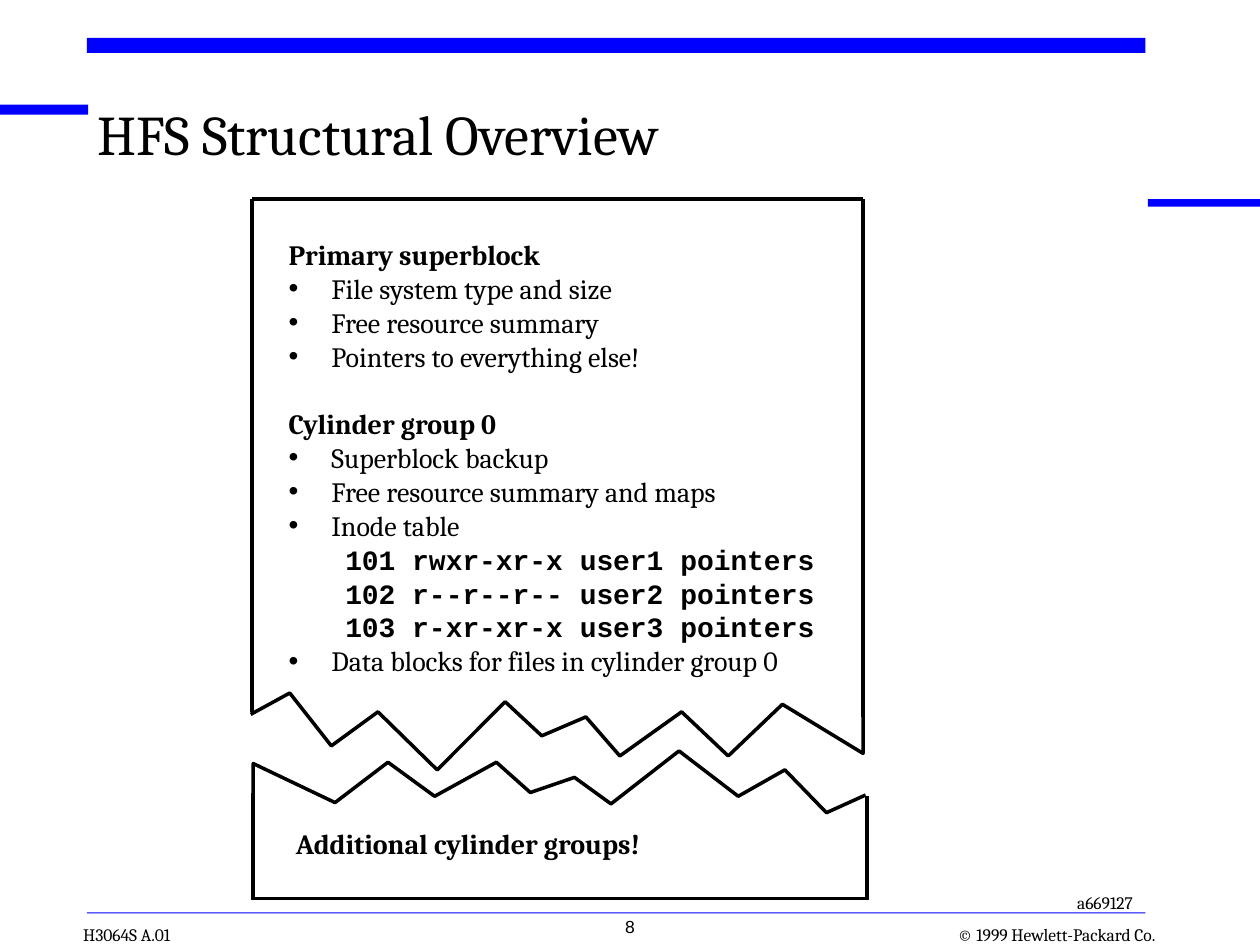
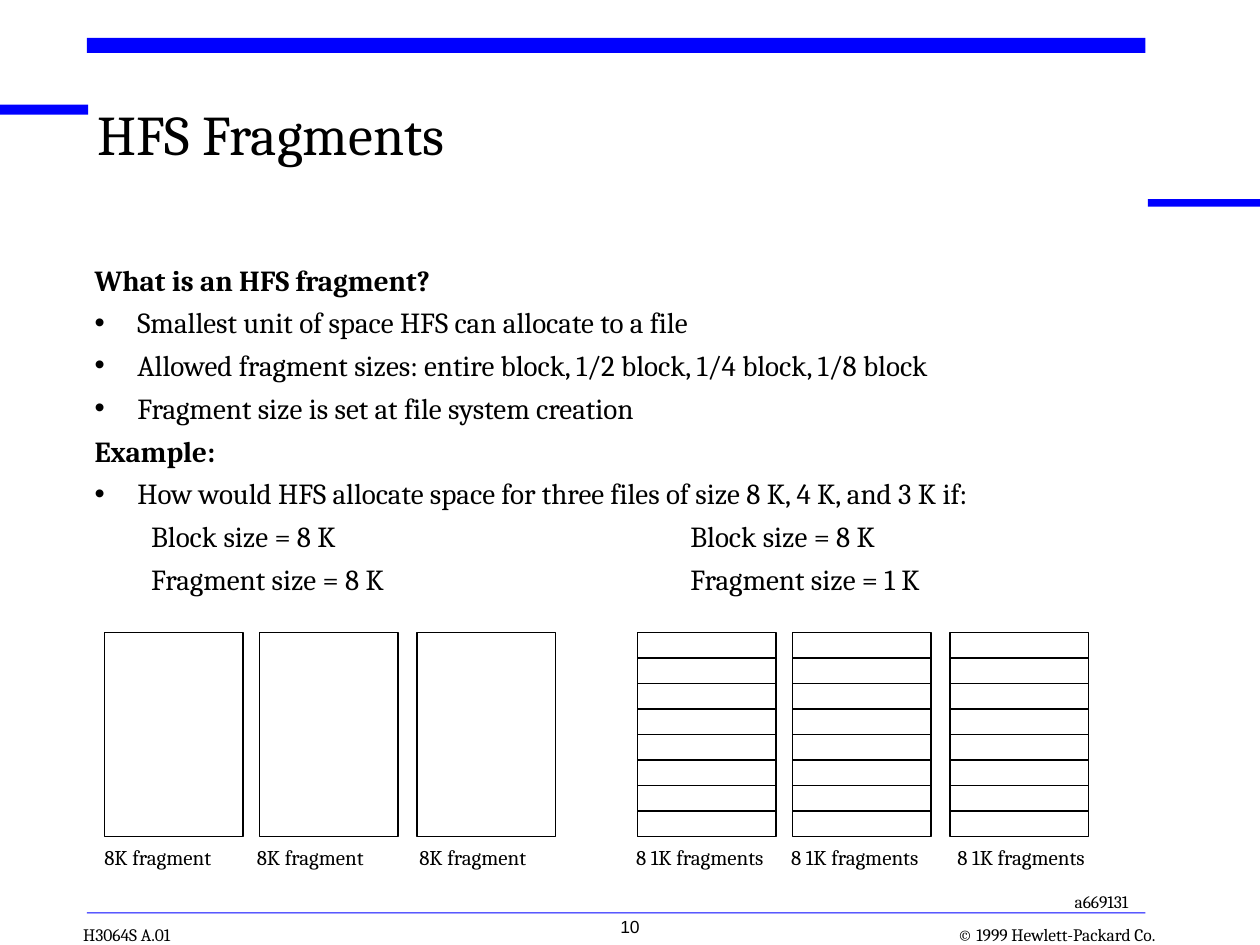
from dataclasses import dataclass
from typing import NamedTuple

from lxml import etree
from pptx import Presentation
from pptx import util as u
from pptx.dml.color import RGBColor
from pptx.enum import shapes, text
from pptx.oxml.ns import qn

BLACK, WHITE, BLUE = "000000", "FFFFFF", "0000FF"
SERIF, SANS, MONO = "Cambria", "Arial", "Courier New"
LEFT, CENTER, RIGHT = text.PP_ALIGN.LEFT, text.PP_ALIGN.CENTER, text.PP_ALIGN.RIGHT


class Box(NamedTuple):
    left: float
    top: float
    width: float
    height: float


class Segment(NamedTuple):
    x1: float
    y1: float
    x2: float
    y2: float


@dataclass
class Label:
    words: str
    box: Box
    size: float = 10
    font: str = SERIF
    bold: bool = False
    align: text.PP_ALIGN = LEFT
    wrap: bool = False
    flush: bool = False  # no insets, resting on the bottom edge


@dataclass
class LineStyle:
    margin: float = 0.34
    indent: float = -0.34
    level: int = 0
    bullet: bool = False
    bold: bool = False
    font: str = SERIF


HEADING = LineStyle(bold=True)
ITEM = LineStyle(bullet=True)
DETAIL = LineStyle(0.73, -0.28, level=1)
CODE = LineStyle(0.73, -0.28, level=1, bold=True, font=MONO)


class BodyLine(NamedTuple):
    words: str
    style: LineStyle
    extra_space: float = 0


@dataclass
class BodyFormat:
    box: Box
    size: float
    line_spacing: float
    space_before: float


TITLE_BOX = Box(0.77, 0.87, 8.07, 0.67)
BANDS = [
    Box(0, 0.83, 0.7, 0.08),
    Box(0.69, 0.3, 8.4, 0.12),
    Box(9.11, 1.58, 0.9, 0.06),
    Box(0.69, 7.24, 8.4, 0.01),
]
FOOTERS = [
    Label("© 1999 Hewlett-Packard Co.", Box(7.35, 7.33, 1.82, 0.17), align=RIGHT, flush=True),
    Label("H3064S A.01", Box(0.66, 7.33, 0.82, 0.17), flush=True),
]

STRUCTURE_FORMAT = BodyFormat(Box(2.29, 1.94, 5, 3.95), 16, 0.8, 4)
STRUCTURE_LINES = [
    BodyLine("Primary superblock", HEADING),
    BodyLine("File system type and size", ITEM),
    BodyLine("Free resource summary", ITEM),
    BodyLine("Pointers to everything else!", ITEM),
    BodyLine("Cylinder group 0", HEADING, extra_space=19),
    BodyLine("Superblock backup", ITEM),
    BodyLine("Free resource summary and maps", ITEM),
    BodyLine("Inode table", ITEM),
    BodyLine("101 rwxr-xr-x user1 pointers", CODE),
    BodyLine("102 r--r--r-- user2 pointers", CODE),
    BodyLine("103 r-xr-xr-x user3 pointers", CODE),
    BodyLine("Data blocks for files in cylinder group 0", ITEM),
]
DISK_EDGES = [
    Segment(2, 1.58, 2, 5.65),
    Segment(2, 1.58, 6.85, 1.58),
    Segment(6.85, 1.58, 6.85, 5.69),
    Segment(6.88, 7.14, 6.88, 6.32),
    Segment(2.01, 7.14, 2.01, 6.29),
    Segment(2.02, 7.13, 6.88, 7.13),
]
UPPER_TEAR = [
    (1.99, 5.67), (2.3, 5.5), (2.63, 5.92), (3, 5.65), (3.47, 6.11), (4.01, 5.57), (4.3, 5.84),
    (4.65, 5.69), (4.92, 6), (5.41, 5.65), (5.78, 6), (6.21, 5.59), (6.85, 5.98), (6.85, 5.63),
]
LOWER_TEAR = [
    (6.87, 6.31), (6.56, 6.45), (6.23, 6.11), (5.86, 6.32), (5.39, 5.96), (4.85, 6.38), (4.56, 6.17),
    (4.21, 6.29), (3.94, 6.05), (3.45, 6.32), (3.08, 6.05), (2.66, 6.37), (2.01, 6.06), (2.01, 6.34),
]

FRAGMENT_FORMAT = BodyFormat(Box(0.75, 2.08, 8.32, 2.92), 16.6, 1, 4.5)
FRAGMENT_LINES = [
    BodyLine("What is an HFS fragment?", HEADING),
    BodyLine("Smallest unit of space HFS can allocate to a file", ITEM),
    BodyLine("Allowed fragment sizes: entire block, 1/2 block, 1/4 block, 1/8 block", ITEM),
    BodyLine("Fragment size is set at file system creation", ITEM),
    BodyLine("Example:", HEADING),
    BodyLine("How would HFS allocate space for three files of size 8 K, 4 K, and 3 K if:", ITEM),
    BodyLine("Block size = 8 K\t\t\tBlock size = 8 K", DETAIL),
    BodyLine("Fragment size = 8 K\t\t\tFragment size = 1 K", DETAIL),
]
BLOCK_TOP, BLOCK_WIDTH, BLOCK_HEIGHT = 5.02, 1.1, 1.62


@dataclass
class BlockRow:
    """Three disk blocks, each cut into the same number of fragments."""
    caption: str
    caption_width: float
    fragments: int
    block_lefts: tuple[float, ...]
    caption_lefts: tuple[float, ...]


BLOCK_ROWS = [
    BlockRow("8K fragment", 1.17, 1, (0.83, 2.06, 3.31), (0.73, 1.94, 3.23)),
    BlockRow("8 1K fragments", 1.39, 8, (5.06, 6.29, 7.54), (4.95, 6.18, 7.5)),
]


def color(hex_code: str) -> RGBColor:
    return RGBColor.from_string(hex_code)


def inches(values) -> list[u.Length]:
    return [u.Inches(value) for value in values]


def place(shape, box: Box) -> None:
    shape.left, shape.top, shape.width, shape.height = inches(box)


def clear_insets(frame) -> None:
    frame.margin_left = frame.margin_top = frame.margin_right = frame.margin_bottom = 0


def format_runs(paragraph, font: str, size: float, bold: bool = False) -> None:
    for run in paragraph.runs:
        run.font.name, run.font.size, run.font.bold = font, u.Pt(size), bold
        run.font.color.rgb = color(BLACK)


def set_outline(shape, weight: float) -> None:
    shape.line.color.rgb = color(BLACK)
    shape.line.width = u.Pt(weight)


def add_box(slide, box: Box, fill: str, outline: float = 0) -> None:
    shape = slide.shapes.add_shape(shapes.MSO_SHAPE.RECTANGLE, *inches(box))
    shape.shadow.inherit = False
    shape.fill.solid()
    shape.fill.fore_color.rgb = color(fill)
    if outline:
        set_outline(shape, outline)
    else:
        shape.line.fill.background()


def add_segment(slide, segment: Segment, weight: float) -> None:
    line = slide.shapes.add_connector(shapes.MSO_CONNECTOR.STRAIGHT, *inches(segment))
    set_outline(line, weight)
    etree.SubElement(line._element.spPr, qn("a:effectLst"))


def add_tear(slide, points: list[tuple[float, float]]) -> None:
    """Draw an open jagged line."""
    start, *rest = [tuple(inches(point)) for point in points]
    builder = slide.shapes.build_freeform(*start)
    builder.add_line_segments(rest, close=False)
    tear = builder.convert_to_shape()
    tear.shadow.inherit = False
    tear.fill.background()
    set_outline(tear, 2)


def add_label(slide, label: Label) -> None:
    frame = slide.shapes.add_textbox(*inches(label.box)).text_frame
    frame.word_wrap = label.wrap
    if not label.wrap:
        frame.auto_size = text.MSO_AUTO_SIZE.SHAPE_TO_FIT_TEXT
    if label.flush:
        clear_insets(frame)
        frame.vertical_anchor = text.MSO_ANCHOR.BOTTOM
    frame.text = label.words
    paragraph = frame.paragraphs[0]
    paragraph.alignment = label.align
    format_runs(paragraph, label.font, label.size, label.bold)


def prepare_placeholder(shape, box: Box):
    place(shape, box)
    frame = shape.text_frame
    clear_insets(frame)
    frame.word_wrap = True
    frame.auto_size = text.MSO_AUTO_SIZE.NONE
    frame.vertical_anchor = text.MSO_ANCHOR.TOP
    return frame


def set_indent_and_bullet(paragraph, style: LineStyle) -> None:
    paragraph.level = style.level
    properties = paragraph._p.get_or_add_pPr()
    properties.set("marL", str(u.Inches(style.margin)))
    properties.set("indent", str(u.Inches(style.indent)))
    properties.set("defTabSz", str(u.Inches(1)))
    if style.bullet:
        etree.SubElement(properties, qn("a:buFont")).set("typeface", SANS)
        etree.SubElement(properties, qn("a:buChar")).set("char", "•")
    else:
        etree.SubElement(properties, qn("a:buNone"))


def fill_body(slide, layout: BodyFormat, lines: list[BodyLine]) -> None:
    frame = prepare_placeholder(slide.placeholders[1], layout.box)
    for index, line in enumerate(lines):
        paragraph = frame.add_paragraph() if index else frame.paragraphs[0]
        paragraph.text = line.words
        set_indent_and_bullet(paragraph, line.style)
        paragraph.alignment = LEFT
        paragraph.line_spacing = layout.line_spacing
        paragraph.space_before = u.Pt(layout.space_before + line.extra_space if index else 0)
        format_runs(paragraph, line.style.font, layout.size, line.style.bold)


def add_framed_slide(deck, title: str, number: str, art_code: Label):
    """Add a slide with its title, blue bands and footers."""
    slide = deck.slides.add_slide(deck.slide_layouts[1])
    for band in BANDS:
        add_box(slide, band, BLUE)
    page = Label(number, Box(3.96, 7.22, 2.08, 0.33), font=SANS, align=CENTER, wrap=True)
    for label in [*FOOTERS, art_code, page]:
        add_label(slide, label)
    frame = prepare_placeholder(slide.shapes.title, TITLE_BOX)
    frame.text = title
    heading = frame.paragraphs[0]
    heading.alignment, heading.line_spacing = LEFT, 0.85
    format_runs(heading, SERIF, 32)
    return slide


def build_structure_slide(deck) -> None:
    art_code = Label("a669127", Box(8.45, 7.03, 0.75, 0.27))
    slide = add_framed_slide(deck, "HFS Structural Overview", "8", art_code)
    fill_body(slide, STRUCTURE_FORMAT, STRUCTURE_LINES)
    for edge in DISK_EDGES:
        add_segment(slide, edge, 2)
    for tear in (UPPER_TEAR, LOWER_TEAR):
        add_tear(slide, tear)
    add_label(slide, Label("Additional cylinder groups!", Box(2.25, 6.51, 3.19, 0.37), 16, bold=True))


def add_block_row(slide, row: BlockRow) -> None:
    for left, caption_left in zip(row.block_lefts, row.caption_lefts):
        add_box(slide, Box(left, BLOCK_TOP, BLOCK_WIDTH, BLOCK_HEIGHT), WHITE, 0.75)
        for cut in range(1, row.fragments):
            y = BLOCK_TOP + cut * BLOCK_HEIGHT / row.fragments
            add_segment(slide, Segment(left, y, left + BLOCK_WIDTH, y), 0.75)
        add_label(slide, Label(row.caption, Box(caption_left, 6.65, row.caption_width, 0.3), 12))


def build_fragment_slide(deck) -> None:
    art_code = Label("a669131", Box(8.43, 7.02, 0.75, 0.27))
    slide = add_framed_slide(deck, "HFS Fragments", "10", art_code)
    fill_body(slide, FRAGMENT_FORMAT, FRAGMENT_LINES)
    for row in BLOCK_ROWS:
        add_block_row(slide, row)


def main() -> None:
    deck = Presentation()
    deck.slide_width, deck.slide_height = u.Inches(10), u.Inches(7.5)
    build_structure_slide(deck)
    build_fragment_slide(deck)
    deck.save("out.pptx")


if __name__ == "__main__":
    main()
